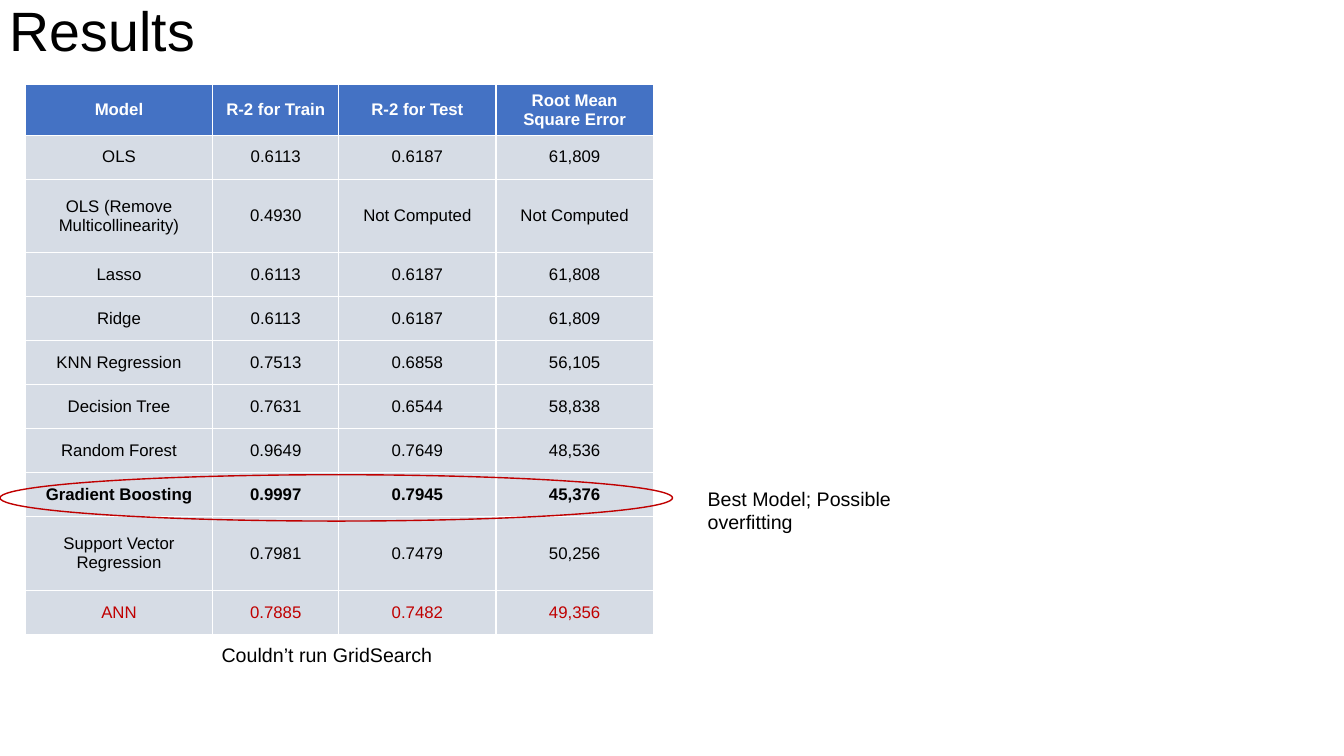
from pptx import Presentation, util as u
from pptx.dml.color import RGBColor
from pptx.enum import shapes, text

theme = dict(
    font="Arial", ink="000000", head="4472C4", body="D6DCE5",
    white="FFFFFF", red="C00000", title=39.6, note=14, cell=12,
)

deck = Presentation()
deck.slide_width, deck.slide_height = u.Inches(13.33), u.Inches(7.5)
slide = deck.slides.add_slide(deck.slide_layouts[6])


def area(x, y, w, h):
    wide, high = deck.slide_width / 100, deck.slide_height / 100
    return int(x * wide), int(y * high), int(w * wide), int(h * high)


def write(frame, words, size, color=theme["ink"], bold=False, align=None, lead=None):
    frame.word_wrap = True
    para = frame.paragraphs[0]
    para.alignment, para.line_spacing = align, lead
    run = para.add_run()
    run.text = words
    font = run.font
    font.name, font.size, font.bold = theme["font"], u.Pt(size), bold
    font.color.rgb = RGBColor.from_string(color)


title = slide.shapes.add_textbox(*area(0, 0.27, 86.27, 8.27)).text_frame
title.vertical_anchor = text.MSO_ANCHOR.MIDDLE
write(title, "Results", theme["title"], lead=0.9)

rows = [
    ("Model", "R-2 for Train", "R-2 for Test", "Root Mean Square Error"),
    ("OLS", "0.6113", "0.6187", "61,809"),
    ("OLS (Remove Multicollinearity)", "0.4930", "Not Computed", "Not Computed"),
    ("Lasso", "0.6113", "0.6187", "61,808"),
    ("Ridge", "0.6113", "0.6187", "61,809"),
    ("KNN Regression", "0.7513", "0.6858", "56,105"),
    ("Decision Tree", "0.7631", "0.6544", "58,838"),
    ("Random Forest", "0.9649", "0.7649", "48,536"),
    ("Gradient Boosting", "0.9997", "0.7945", "45,376"),
    ("Support Vector Regression", "0.7981", "0.7479", "50,256"),
    ("ANN", "0.7885", "0.7482", "49,356"),
]
widths = [13.95, 9.38, 11.7, 11.7]
low, tall = 5.82, 9.74
heights = [tall if len(row[0]) > 20 else low for row in rows]
box = area(1.88, 11.2, sum(widths), sum(heights))
table = slide.shapes.add_table(len(rows), len(widths), *box).table
table.horz_banding = False
for col, width in zip(table.columns, widths):
    col.width = area(0, 0, width, 0)[2]
for r, row in enumerate(rows):
    table.rows[r].height = area(0, 0, 0, heights[r])[3]
    fill = theme["body"] if r else theme["head"]
    color = {"Model": theme["white"], "ANN": theme["red"]}.get(row[0], theme["ink"])
    bold = row[0] in ("Model", "Gradient Boosting")
    for c, words in enumerate(row):
        cell = table.cell(r, c)
        cell.fill.solid()
        cell.fill.fore_color.rgb = RGBColor.from_string(fill)
        cell.vertical_anchor = text.MSO_ANCHOR.MIDDLE
        write(cell.text_frame, words, theme["cell"], color, bold, text.PP_ALIGN.CENTER)

ring = slide.shapes.add_shape(shapes.MSO_SHAPE.OVAL, *area(0, 62.8, 50.04, 6.13))
ring.shadow.inherit = False
ring.fill.background()
ring.line.color.rgb = RGBColor.from_string(theme["red"])
ring.line.width = u.Pt(1)

notes = [
    ("Best Model; Possible overfitting", (51.91, 63.73, 16.95, 7.6)),
    ("Couldn’t run GridSearch", (15.75, 84.4, 25.36, 4.53)),
]
for words, spot in notes:
    note = slide.shapes.add_textbox(*area(*spot)).text_frame
    note.auto_size = text.MSO_AUTO_SIZE.SHAPE_TO_FIT_TEXT
    write(note, words, theme["note"])

deck.save("out.pptx")
